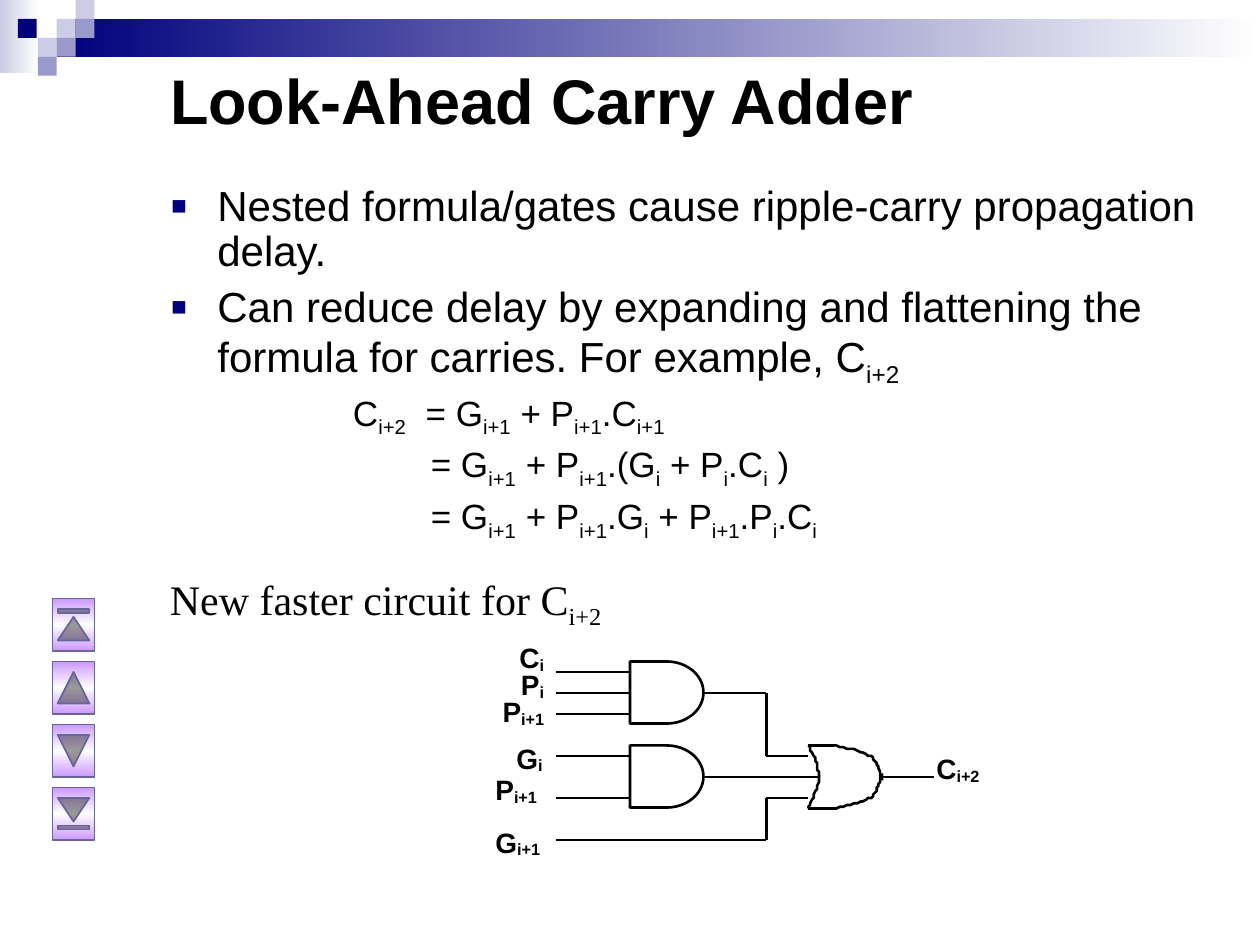
from typing import NamedTuple

from lxml import etree
from pptx import Presentation
from pptx.dml.color import RGBColor
from pptx.enum.shapes import MSO_CONNECTOR, MSO_SHAPE
from pptx.enum.text import MSO_ANCHOR, MSO_AUTO_SIZE, PP_ALIGN
from pptx.oxml import parse_xml
from pptx.oxml.ns import nsdecls, qn
from pptx.util import Pt

COLORS = {
    "black": "000000", "white": "FFFFFF", "navy": "00007D",
    "pale": "CCCCE6", "mid": "9999CC", "violet": "CC99FF", "slate": "666699",
}
RECTANGLE, AND_GATE = MSO_SHAPE.RECTANGLE, MSO_SHAPE.FLOWCHART_DELAY
STRAIGHT = MSO_CONNECTOR.STRAIGHT
LEFT, RIGHT = PP_ALIGN.LEFT, PP_ALIGN.RIGHT
TOP, MIDDLE = MSO_ANCHOR.TOP, MSO_ANCHOR.MIDDLE
NO_AUTOFIT = MSO_AUTO_SIZE.NONE


class Box(NamedTuple):
    left: float
    top: float
    width: float
    height: float


class Style(NamedTuple):
    size: float
    name: str = "Arial"
    bold: bool = False
    subscript: int = -25
    align: PP_ALIGN = LEFT
    line_spacing: float = 1.0


class BodyLine(NamedTuple):
    text: str
    size: float
    margin: float
    indent: float
    bullet: bool = False


class Label(NamedTuple):
    box: Box
    lines: list[str]
    align: PP_ALIGN = LEFT
    line_spacing: float = 1.0


class Wire(NamedTuple):
    x1: float
    y1: float
    x2: float
    y2: float
    weight: float = 1.25


TILE = 10.8
TILES = [  # left, top, color
    (32.4, TILE, "pale"), (43.2, 0, "pale"), (43.2, TILE, "mid"),
    (21.6, 21.6, "pale"), (10.2, TILE, "navy"), (32.4, 21.6, "mid"),
    (21.6, 32.4, "mid"),
]
BODY = [
    BodyLine("Nested formula/gates cause ripple-carry propagation delay.", 24, 27, -27, True),
    BodyLine("Can reduce delay by expanding and flattening the formula for carries. "
             "For example, C|i+2", 24, 27, -27, True),
    BodyLine("C|i+2|\t= G|i+1| + P|i+1|.C|i+1", 20, 146, -41.5),
    BodyLine("= G|i+1| + P|i+1|.(G|i| + P|i|.C|i| )", 20, 149, 0),
    BodyLine("= G|i+1| + P|i+1|.G|i| + P|i+1|.P|i|.C|i", 20, 149, 0),
]
LABELS = [
    Label(Box(276, 366, 42, 54), ["C|i", "P|i", "P|i+1"], RIGHT, 0.8),
    Label(Box(288, 420, 30, 22), ["G|i"]),
    Label(Box(276, 438, 42, 27), ["P|i+1"]),
    Label(Box(276, 468, 48, 22), ["G|i+1"]),
    Label(Box(528, 426, 49, 28), ["C|i+2"]),
]
INPUT_X, AND_X, AND_END, BEND_X, OR_X, OR_TIP = 318, 360, 402, 438, 462, 504
WIRES = [
    *(Wire(INPUT_X, y, AND_X, y) for y in (384, 396, 408, 432, 456)),
    Wire(INPUT_X, 480, BEND_X, 480),
    Wire(BEND_X, 480, BEND_X, 456),
    Wire(BEND_X, 456, OR_X, 456),
    Wire(AND_END, 396, BEND_X, 396),
    Wire(BEND_X, 396, BEND_X, 432),
    Wire(BEND_X, 432, OR_X, 432),
    Wire(AND_END, 444, 468, 444),
    Wire(OR_TIP, 444, 534, 444),
    Wire(OR_X, 426, 476.5, 426, 1.5),
    Wire(OR_X, 462, 476.5, 462, 1.5),
]
OR_CURVES = [  # cubic curves: start, control, control, end, ...
    [(462, 426), (465, 432), (468, 438), (468, 444), (468, 450), (463, 459), (462, 462)],
    [(476.5, 426), (484.5, 427.5), (492.5, 429), (497.5, 432.5),
     (502, 435.5), (502.5, 440.5), (504, 446)],
    [(476.5, 462), (484.5, 460), (492.5, 458.5), (497.5, 455.5),
     (502, 452), (502.5, 447), (504, 442)],
]
BUTTONS = [
    MSO_SHAPE.ACTION_BUTTON_BEGINNING, MSO_SHAPE.ACTION_BUTTON_BACK_OR_PREVIOUS,
    MSO_SHAPE.ACTION_BUTTON_FORWARD_OR_NEXT, MSO_SHAPE.ACTION_BUTTON_END,
]


def rgb(color: str) -> RGBColor:
    return RGBColor.from_string(COLORS[color])


def in_points(box: Box) -> list[Pt]:
    return [Pt(length) for length in box]


def fill_gradient(shape, colors: list[str], angle: int) -> None:
    """Spread the colors evenly along the angle, given in degrees."""
    stops = "".join(
        f'<a:gs pos="{100000 * i // (len(colors) - 1)}"><a:srgbClr val="{COLORS[color]}"/></a:gs>'
        for i, color in enumerate(colors))
    gradient = parse_xml(
        f'<a:gradFill {nsdecls("a")} rotWithShape="0"><a:gsLst>{stops}</a:gsLst>'
        f'<a:lin ang="{angle * 60000}" scaled="0"/></a:gradFill>')
    shape.fill.background()
    properties = shape.fill._xPr
    properties.replace(properties.find(qn("a:noFill")), gradient)


def add_shape(slide, kind, box: Box, fill: str | None = None,
              line: str | None = None, weight: float = 1):
    shape = slide.shapes.add_shape(kind, *in_points(box))
    finish_shape(shape, fill, line, weight)
    return shape


def finish_shape(shape, fill: str | None, line: str | None, weight: float) -> None:
    shape.shadow.inherit = False
    if fill:
        shape.fill.solid()
        shape.fill.fore_color.rgb = rgb(fill)
    else:
        shape.fill.background()
    if line:
        shape.line.color.rgb = rgb(line)
        shape.line.width = Pt(weight)
    else:
        shape.line.fill.background()


def add_wire(slide, wire: Wire) -> None:
    ends = [Pt(length) for length in wire[:4]]
    connector = slide.shapes.add_connector(STRAIGHT, *ends)
    connector.line.color.rgb = rgb("black")
    connector.line.width = Pt(wire.weight)
    etree.SubElement(connector._element.spPr, qn("a:effectLst"))


def add_curve(slide, points: list[tuple[float, float]], steps: int = 12) -> None:
    """Draw joined cubic curves as a fine open polyline."""
    vertices = []
    for start in range(0, len(points) - 1, 3):
        for step in range(1, steps + 1):
            t = step / steps
            weights = ((1 - t) ** 3, 3 * t * (1 - t) ** 2, 3 * t * t * (1 - t), t ** 3)
            controls = zip(*points[start:start + 4])
            vertices.append(tuple(sum(w * c for w, c in zip(weights, axis)) for axis in controls))
    builder = slide.shapes.build_freeform(*points[0], scale=float(Pt(1)))
    builder.add_line_segments(vertices, close=False)
    finish_shape(builder.convert_to_shape(), None, "black", 1.5)


def write(paragraph, text: str, style: Style) -> None:
    """Write the text; every second piece between bars is a subscript."""
    paragraph.alignment = style.align
    paragraph.line_spacing = style.line_spacing
    font = paragraph.font
    font.size, font.name, font.bold = Pt(style.size), style.name, style.bold
    font.color.rgb = rgb("black")
    for i, piece in enumerate(text.split("|")):
        run = paragraph.add_run()
        run.text = piece
        if i % 2:
            run._r.get_or_add_rPr().set("baseline", str(style.subscript * 1000))


def fill_frame(frame, lines: list[str], style: Style, anchor: MSO_ANCHOR = TOP) -> None:
    frame.word_wrap = True
    frame.auto_size = NO_AUTOFIT
    frame.vertical_anchor = anchor
    for i, text in enumerate(lines):
        write(frame.add_paragraph() if i else frame.paragraphs[0], text, style)


def format_body_line(paragraph, line: BodyLine, first: bool) -> None:
    properties = paragraph._p.get_or_add_pPr()
    properties.set("marL", str(Pt(line.margin)))
    properties.set("indent", str(Pt(line.indent)))
    if line.bullet:
        color = etree.SubElement(properties, qn("a:buClr"))
        etree.SubElement(color, qn("a:srgbClr"), val=COLORS["navy"])
        etree.SubElement(properties, qn("a:buSzPct"), val="120000")
        etree.SubElement(properties, qn("a:buFont"), typeface="Arial")
        etree.SubElement(properties, qn("a:buChar"), char="▪")
    else:
        etree.SubElement(properties, qn("a:buNone"))
    paragraph.space_before = Pt(0 if first else line.size / 4)


def place(shape, box: Box) -> None:
    shape.left, shape.top, shape.width, shape.height = in_points(box)


def add_banner(slide) -> None:
    fill_gradient(add_shape(slide, RECTANGLE, Box(0, 0, 22, 42)), ["pale", "white"], 0)
    fill_gradient(add_shape(slide, RECTANGLE, Box(32.4, TILE, 687.6, 21.6)), ["navy", "white"], 0)
    for left, top, color in TILES:
        add_shape(slide, RECTANGLE, Box(left, top, TILE, TILE), color)


def main() -> None:
    presentation = Presentation()
    presentation.slide_width, presentation.slide_height = Pt(720), Pt(540)
    slide = presentation.slides.add_slide(presentation.slide_layouts[1])
    add_banner(slide)

    title, body = slide.placeholders
    place(title, Box(90, 12, 612, 90))
    fill_frame(title.text_frame, ["Look-Ahead Carry Adder"], Style(36, bold=True), MIDDLE)
    place(body, Box(90, 102, 612, 216))
    frame = body.text_frame
    frame.auto_size = NO_AUTOFIT
    for i, line in enumerate(BODY):
        paragraph = frame.add_paragraph() if i else frame.paragraphs[0]
        format_body_line(paragraph, line, first=i == 0)
        write(paragraph, line.text, Style(line.size, line_spacing=0.9))

    caption = slide.shapes.add_textbox(*in_points(Box(90, 324, 612, 54)))
    fill_frame(caption.text_frame, ["New faster circuit for C|i+2"], Style(24, "Times New Roman"))

    for top in (378, 426):
        add_shape(slide, AND_GATE, Box(AND_X, top, 42, 35.5), line="black", weight=1.5)
    for wire in WIRES:
        add_wire(slide, wire)
    for curve in OR_CURVES:
        add_curve(slide, curve)
    for label in LABELS:
        textbox = slide.shapes.add_textbox(*in_points(label.box))
        style = Style(16, bold=True, subscript=-10, align=label.align,
                      line_spacing=label.line_spacing)
        fill_frame(textbox.text_frame, label.lines, style)

    for i, kind in enumerate(BUTTONS):
        button = add_shape(slide, kind, Box(27, 345 + 36 * i, 30, 24), line="slate")
        button.rotation = 90
        fill_gradient(button, ["violet", "white", "violet"], 90)
    presentation.save("out.pptx")


if __name__ == "__main__":
    main()
